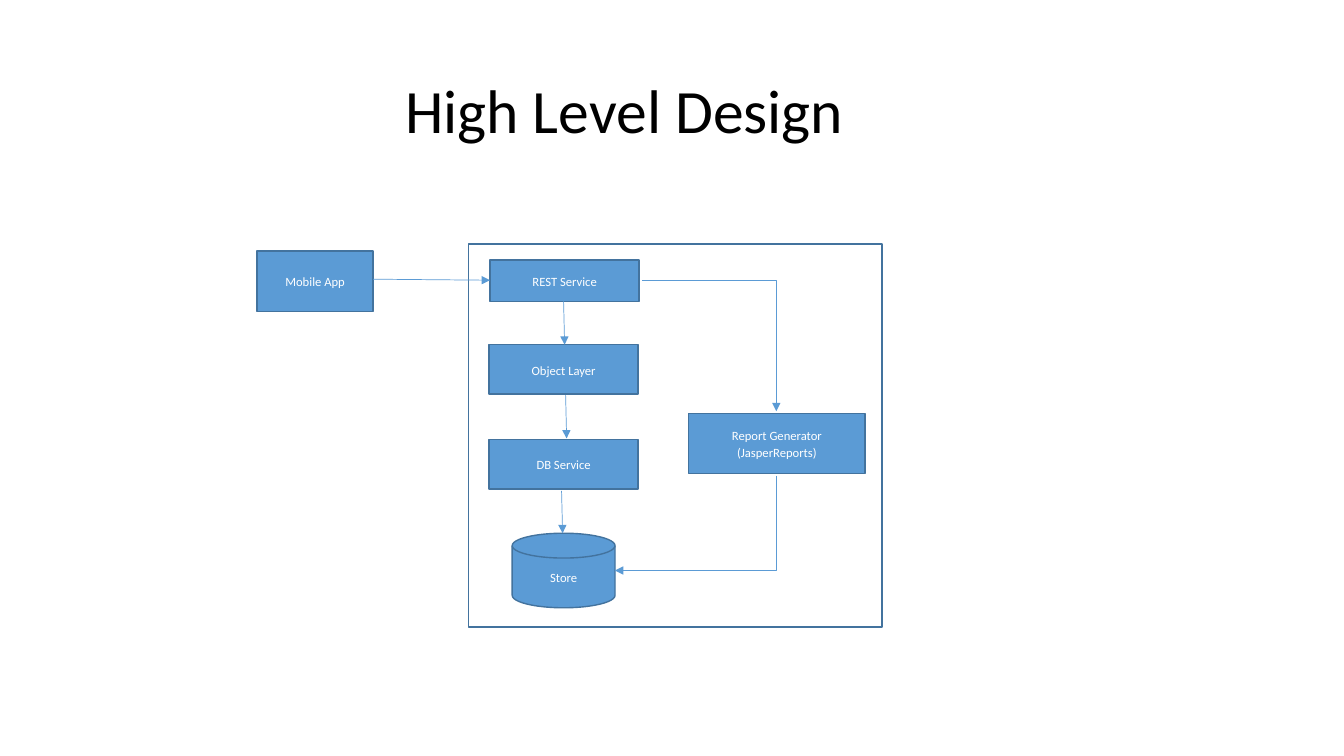
from typing import NamedTuple, Optional

from lxml import etree
from pptx import Presentation
from pptx.dml.color import RGBColor
from pptx.enum.shapes import MSO_CONNECTOR, MSO_SHAPE
from pptx.enum.text import MSO_ANCHOR, PP_ALIGN
from pptx.oxml.ns import qn
from pptx.util import Inches, Pt

RECT = MSO_SHAPE.RECTANGLE
PROCESS = MSO_SHAPE.FLOWCHART_PROCESS
DISK = MSO_SHAPE.FLOWCHART_MAGNETIC_DISK
STRAIGHT = MSO_CONNECTOR.STRAIGHT
ELBOW = MSO_CONNECTOR.ELBOW
MIDDLE = MSO_ANCHOR.MIDDLE
CENTER = PP_ALIGN.CENTER

FONT = "Calibri"
COLORS = {"fill": "5B9BD5", "border": "43739E", "title": "000000", "label": "FFFFFF"}


class Node(NamedTuple):
    label: str
    left: float
    top: float
    width: float
    height: float
    kind: MSO_SHAPE = RECT


class Arrow(NamedTuple):
    x1: float
    y1: float
    x2: float
    y2: float
    bend: Optional[int] = None


NODES = [
    Node("REST Service", 4.86, 2.58, 1.48, 0.41),
    Node("Object Layer", 4.85, 3.42, 1.48, 0.49),
    Node("DB Service", 4.85, 4.36, 1.48, 0.49),
    Node("Store", 5.08, 5.29, 1.02, 0.74, DISK),
    Node("Mobile App", 2.55, 2.49, 1.15, 0.6, PROCESS),
    Node("Report Generator (JasperReports)", 6.83, 4.1, 1.75, 0.6, PROCESS),
]
SERVER = Node("", 4.65, 2.42, 4.1, 3.8)

ARROWS = [
    Arrow(5.59, 2.99, 5.6, 3.42),
    Arrow(5.61, 3.92, 5.62, 4.35),
    Arrow(5.57, 4.87, 5.58, 5.29),
    Arrow(6.37, 2.78, 7.7, 4.08, bend=100000),
    Arrow(7.7, 4.72, 6.1, 5.66, bend=0),
    Arrow(3.7, 2.77, 4.86, 2.78),
]


def rgb(name: str) -> RGBColor:
    return RGBColor.from_string(COLORS[name])


def add_run(p, text: str, size: float, color: str) -> None:
    r = p.add_run()
    r.text = text
    r.font.name = FONT
    r.font.size = Pt(size)
    r.font.color.rgb = rgb(color)


def add_title(s, text: str) -> None:
    sp = s.shapes.add_textbox(Inches(0.92), Inches(0.4), Inches(11.5), Inches(1.45))
    tf = sp.text_frame
    tf.word_wrap = True
    tf.vertical_anchor = MIDDLE
    tf.margin_left = Inches(3.1)
    p = tf.paragraphs[0]
    p.line_spacing = 0.9
    add_run(p, text, 44, "title")


def add_node(s, node: Node) -> None:
    sp = s.shapes.add_shape(node.kind, Inches(node.left), Inches(node.top),
                            Inches(node.width), Inches(node.height))
    sp.shadow.inherit = False
    sp.line.color.rgb = rgb("border")
    sp.line.width = Pt(1)
    if not node.label:
        sp.fill.background()
        return
    sp.fill.solid()
    sp.fill.fore_color.rgb = rgb("fill")
    tf = sp.text_frame
    tf.word_wrap = True
    tf.vertical_anchor = MIDDLE
    p = tf.paragraphs[0]
    p.alignment = CENTER
    p.line_spacing = 1.07
    p.space_after = Pt(8)
    add_run(p, node.label, 9, "label")


def add_arrow(s, arrow: Arrow) -> None:
    kind = STRAIGHT if arrow.bend is None else ELBOW
    sp = s.shapes.add_connector(kind, Inches(arrow.x1), Inches(arrow.y1),
                                Inches(arrow.x2), Inches(arrow.y2))
    sp.line.color.rgb = rgb("fill")
    sp.line.width = Pt(0.5)
    etree.SubElement(sp.line._get_or_add_ln(), qn("a:tailEnd"), type="triangle")
    props = sp._element.spPr
    etree.SubElement(props, qn("a:effectLst"))
    if arrow.bend is not None:
        guides = props.find(qn("a:prstGeom")).find(qn("a:avLst"))
        etree.SubElement(guides, qn("a:gd"), name="adj1", fmla=f"val {arrow.bend}")


prs = Presentation()
prs.slide_width = Inches(13.33)
prs.slide_height = Inches(7.5)
s = prs.slides.add_slide(prs.slide_layouts[6])

add_title(s, "High Level Design")
for node in [*NODES, SERVER]:
    add_node(s, node)
for arrow in ARROWS:
    add_arrow(s, arrow)

prs.save("out.pptx")
